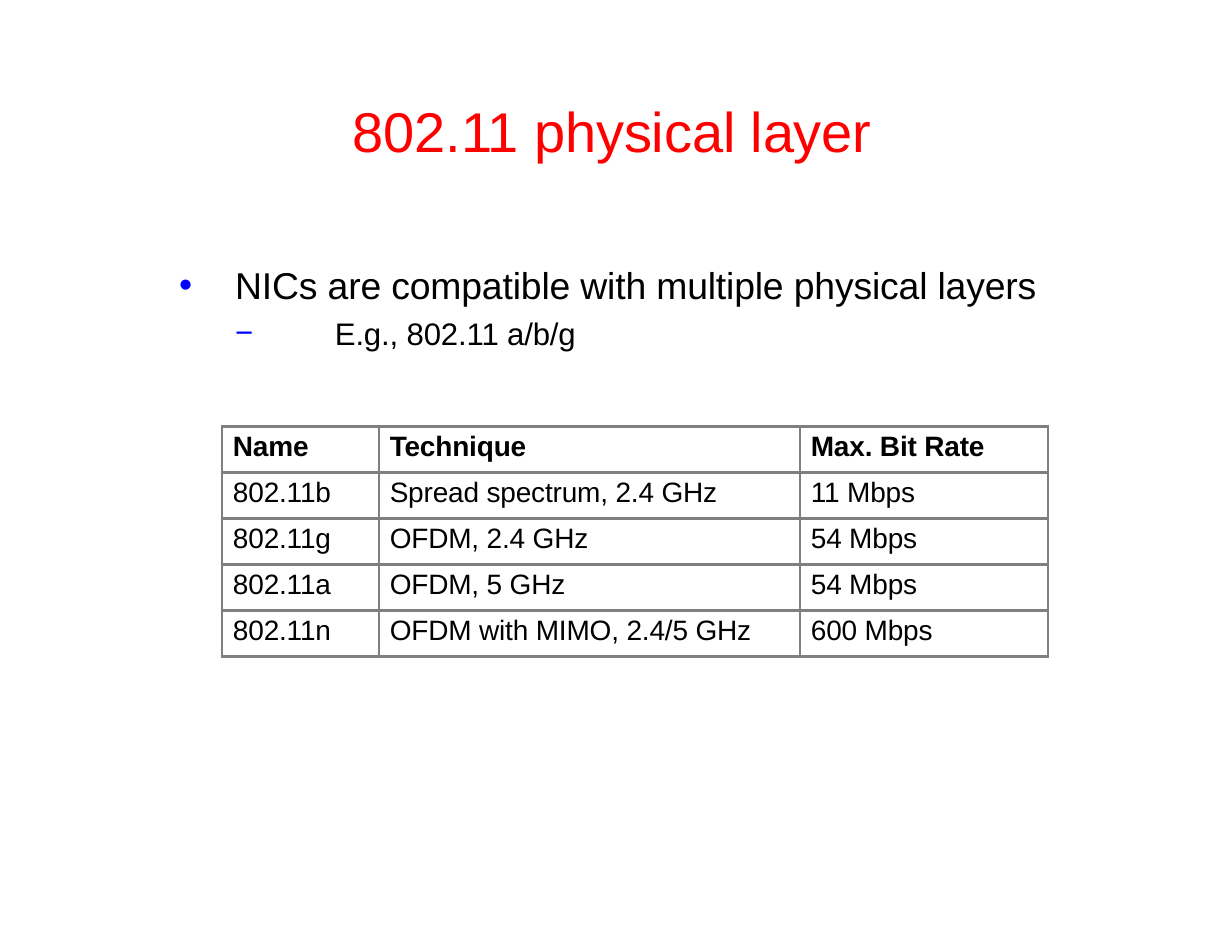
from lxml import etree
from pptx import Presentation
from pptx.dml.color import RGBColor
from pptx.enum.text import MSO_ANCHOR, MSO_AUTO_SIZE, PP_ALIGN
from pptx.oxml.ns import qn
from pptx.util import Inches, Pt

LEFT = PP_ALIGN.LEFT
TOP = MSO_ANCHOR.TOP
NO_AUTOFIT = MSO_AUTO_SIZE.NONE

COLORS = {"title": "FF0000", "text": "000000", "bullet": "0000FF", "border": "7F7F7F"}
FONT = "Arial"
TIGHT_SPACING = "-10"

BULLETS = [
    ("NICs are compatible with multiple physical layers", "•", 24, 0.51, 0.5, 0),
    ("E.g., 802.11 a/b/g", "−", 20, 1.4, 0.89, 4.9),
]
COLUMN_WIDTHS = [1.4, 3.76, 2.22]
ROW_HEIGHT = 0.41
STANDARDS = [
    ("Name", "Technique", "Max. Bit Rate"),
    ("802.11b", "Spread spectrum, 2.4 GHz", "11 Mbps"),
    ("802.11g", "OFDM, 2.4 GHz", "54 Mbps"),
    ("802.11a", "OFDM, 5 GHz", "54 Mbps"),
    ("802.11n", "OFDM with MIMO, 2.4/5 GHz", "600 Mbps"),
]


def style_paragraph(paragraph, size, color, bold=False):
    paragraph.alignment = LEFT
    paragraph.line_spacing = 1.0
    font = paragraph.font
    font.name = FONT
    font.size = Pt(size)
    font.bold = bold
    font.color.rgb = RGBColor.from_string(COLORS[color])
    for run in paragraph.runs:
        run._r.get_or_add_rPr().set("spc", TIGHT_SPACING)


def place_placeholder(shape, left, top, width, height, top_inset):
    shape.left, shape.top = Inches(left), Inches(top)
    shape.width, shape.height = Inches(width), Inches(height)
    frame = shape.text_frame
    frame.margin_left = frame.margin_right = frame.margin_bottom = 0
    frame.margin_top = Inches(top_inset)
    frame.vertical_anchor = TOP
    frame.auto_size = NO_AUTOFIT
    frame.word_wrap = True
    return frame


def set_bullet(paragraph, character, margin, hanging):
    properties = paragraph._p.get_or_add_pPr()
    properties.set("marL", str(Inches(margin)))
    properties.set("indent", str(-Inches(hanging)))
    bullet_color = etree.SubElement(properties, qn("a:buClr"))
    etree.SubElement(bullet_color, qn("a:srgbClr"), val=COLORS["bullet"])
    etree.SubElement(properties, qn("a:buFont"), typeface=FONT)
    etree.SubElement(properties, qn("a:buChar"), char=character)


def add_title(slide, text):
    frame = place_placeholder(slide.shapes.title, 3.15, 0.8, 4.8, 0.63, 0.06)
    frame.text = text
    style_paragraph(frame.paragraphs[0], 36, "title")


def add_bullets(slide, bullets):
    frame = place_placeholder(slide.placeholders[1], 1.59, 2.21, 7.9, 0.94, 0.13)
    frame.text = "\n".join(bullet[0] for bullet in bullets)
    for paragraph, bullet in zip(frame.paragraphs, bullets):
        _, character, size, margin, hanging, space_before = bullet
        set_bullet(paragraph, character, margin, hanging)
        paragraph.space_before = Pt(space_before)
        style_paragraph(paragraph, size, "text")


def set_borders(cell):
    properties = cell._tc.get_or_add_tcPr()
    for side, width in (("lnL", 1.5), ("lnR", 1.5), ("lnT", 2.25), ("lnB", 2.25)):
        line = etree.SubElement(properties, qn(f"a:{side}"), w=str(Pt(width)))
        fill = etree.SubElement(line, qn("a:solidFill"))
        etree.SubElement(fill, qn("a:srgbClr"), val=COLORS["border"])


def fill_cell(cell, text, bold):
    cell.margin_left = Inches(0.1)
    cell.margin_top = Inches(0.04)
    cell.margin_right = cell.margin_bottom = 0
    cell.text = text
    style_paragraph(cell.text_frame.paragraphs[0], 18, "text", bold)
    set_borders(cell)
    cell.fill.background()


def add_standards_table(slide, rows):
    table = slide.shapes.add_table(
        len(rows), len(COLUMN_WIDTHS), Inches(1.98), Inches(3.81),
        Inches(sum(COLUMN_WIDTHS)), Inches(ROW_HEIGHT * len(rows)),
    ).table
    table.first_row = False
    table.horz_banding = False
    for column, width in zip(table.columns, COLUMN_WIDTHS):
        column.width = Inches(width)
    for row_index, values in enumerate(rows):
        table.rows[row_index].height = Inches(ROW_HEIGHT)
        for column_index, text in enumerate(values):
            fill_cell(table.cell(row_index, column_index), text, row_index == 0)


def main():
    presentation = Presentation()
    presentation.slide_width = Inches(11)
    presentation.slide_height = Inches(8.5)
    slide = presentation.slides.add_slide(presentation.slide_layouts[1])
    add_title(slide, "802.11 physical layer")
    add_bullets(slide, BULLETS)
    add_standards_table(slide, STANDARDS)
    presentation.save("out.pptx")


if __name__ == "__main__":
    main()
